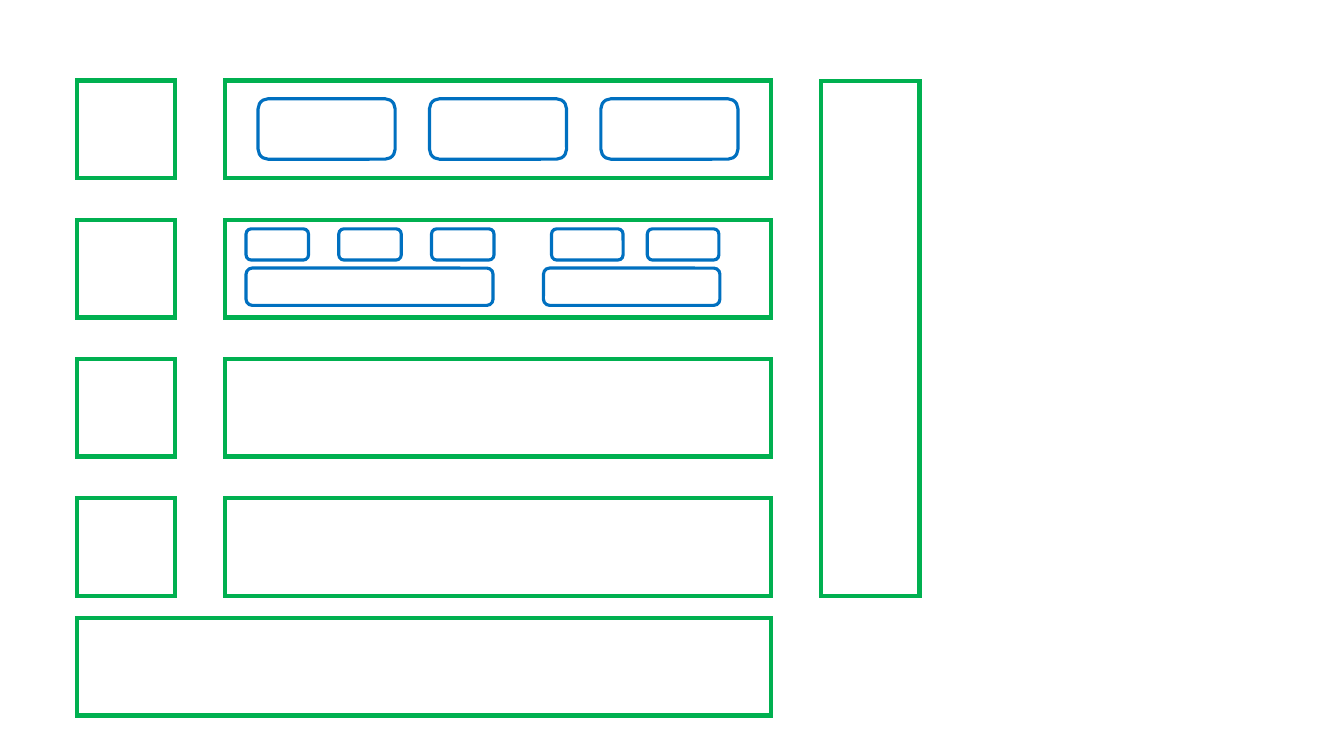
from dataclasses import dataclass

from lxml import etree
from pptx import Presentation
from pptx.dml.color import RGBColor
from pptx.enum.shapes import MSO_SHAPE
from pptx.oxml.ns import qn
from pptx.util import Inches, Pt

RECTANGLE = MSO_SHAPE.RECTANGLE
ROUNDED = MSO_SHAPE.ROUNDED_RECTANGLE


@dataclass(frozen=True)
class Theme:
    paper: RGBColor = RGBColor(0xFF, 0xFF, 0xFF)
    frame_line: RGBColor = RGBColor(0x00, 0xB0, 0x50)
    item_line: RGBColor = RGBColor(0x00, 0x70, 0xC0)
    frame_weight: float = 3
    item_weight: float = 2.25


class Diagram:
    def __init__(self, page, theme):
        self.page = page
        self.theme = theme

    def outline(self, kind, bounds, color, weight):
        box = self.page.shapes.add_shape(kind, *map(Inches, bounds))
        box.shadow.inherit = False
        box.fill.solid()
        box.fill.fore_color.rgb = self.theme.paper
        box.line.color.rgb = color
        box.line.width = Pt(weight)
        line = box.line.fill._xPr
        etree.SubElement(line, qn("a:miter"), lim="800000")

    def frame(self, *bounds):
        self.outline(RECTANGLE, bounds, self.theme.frame_line, self.theme.frame_weight)

    def item(self, *bounds):
        self.outline(ROUNDED, bounds, self.theme.item_line, self.theme.item_weight)

    def item_row(self, count, left, top, width, height, pitch):
        for index in range(count):
            self.item(left + index * pitch, top, width, height)


deck = Presentation()
deck.slide_width = Inches(13.33)
deck.slide_height = Inches(7.5)
page = deck.slides.add_slide(deck.slide_layouts[6])
diagram = Diagram(page, Theme())

LAYERS = 4
LAYER_TOP, LAYER_PITCH, LAYER_HEIGHT = 0.8, 1.38, 0.97
LABEL_LEFT, LABEL_WIDTH = 0.76, 0.98
BODY_LEFT, BODY_WIDTH = 2.23, 5.42
SIDE_LEFT, BASE_TOP = 8.14, 6.13

for layer in range(LAYERS):
    top = LAYER_TOP + layer * LAYER_PITCH
    diagram.frame(LABEL_LEFT, top, LABEL_WIDTH, LAYER_HEIGHT)
    diagram.frame(BODY_LEFT, top, BODY_WIDTH, LAYER_HEIGHT)

side_height = (LAYERS - 1) * LAYER_PITCH + LAYER_HEIGHT
diagram.frame(SIDE_LEFT, LAYER_TOP, LABEL_WIDTH, side_height)
base_width = BODY_LEFT + BODY_WIDTH - LABEL_LEFT
diagram.frame(LABEL_LEFT, BASE_TOP, base_width, LAYER_HEIGHT)

diagram.item_row(3, 2.56, 0.98, 1.36, 0.6, pitch=1.7)
diagram.item_row(3, 2.44, 2.27, 0.62, 0.31, pitch=0.92)
diagram.item_row(2, 5.47, 2.27, 0.71, 0.31, pitch=0.95)
for left, width in ((2.44, 2.45), (5.39, 1.75)):
    diagram.item(left, 2.66, width, 0.37)

deck.save("out.pptx")
